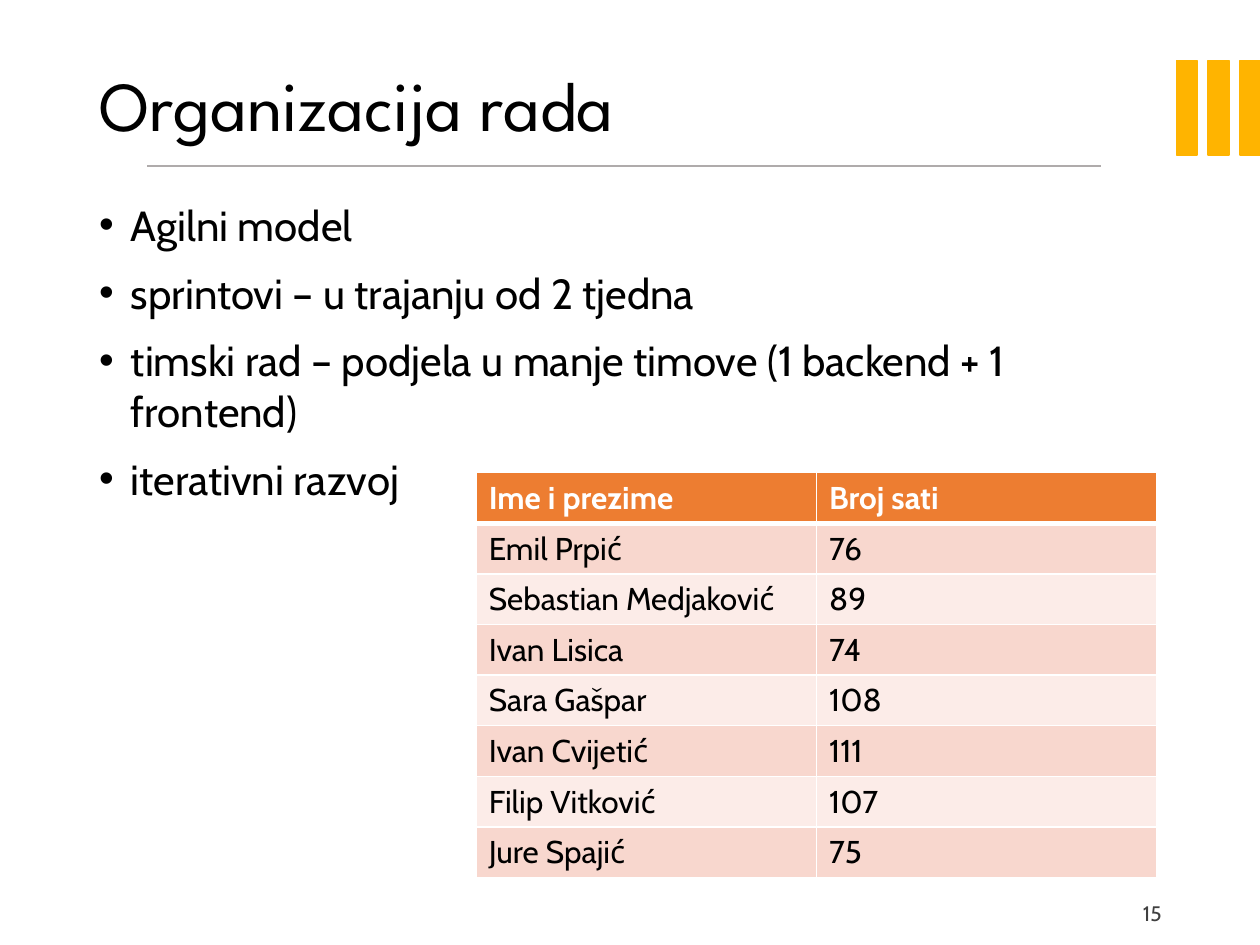
from lxml import etree
from pptx import Presentation
from pptx.dml.color import RGBColor
from pptx.enum.shapes import MSO_CONNECTOR as Conn, MSO_SHAPE as Shape
from pptx.enum.text import MSO_ANCHOR as Anchor, PP_ALIGN as Align
from pptx.oxml.ns import qn
from pptx.util import Cm, Pt

COLORS = {
    "text": "000000", "number": "404040", "accent": "FFB400", "rule": "AFABAB",
    "header": "ED7D31", "odd": "F8D7CE", "even": "FCECE8", "white": "FFFFFF",
}
BULLETS = [
    "Agilni model",
    "sprintovi – u trajanju od 2 tjedna",
    "timski rad – podjela u manje timove (1 backend + 1 frontend)",
    "iterativni razvoj",
]
HOURS = [
    ("Ime i prezime", "Broj sati"),
    ("Emil Prpić", "76"),
    ("Sebastian Medjaković", "89"),
    ("Ivan Lisica", "74"),
    ("Sara Gašpar", "108"),
    ("Ivan Cvijetić", "111"),
    ("Filip Vitković", "107"),
    ("Jure Spajić", "75"),
]


class SlideBuilder:
    """Holds the slide and its style; lengths are given in centimetres."""
    title_font = "League Spartan"
    body_font = "Cabin"

    def __init__(self, slide):
        self.slide = slide

    def rgb(self, name):
        return RGBColor.from_string(COLORS[name])

    def style(self, p, size, color="text", font=None, bold=False):
        for r in p.runs:
            r.font.name = font or self.body_font
            r.font.size = Pt(size)
            r.font.bold = bold
            r.font.color.rgb = self.rgb(color)

    def bar(self, x, y, w, h):
        sp = self.slide.shapes.add_shape(Shape.RECTANGLE, Cm(x), Cm(y), Cm(w), Cm(h))
        sp.shadow.inherit = False
        sp.fill.solid()
        sp.fill.fore_color.rgb = self.rgb("accent")
        sp.line.color.rgb = self.rgb("accent")
        sp.line.width = Pt(1)

    def rule(self, x1, x2, y):
        line = self.slide.shapes.add_connector(Conn.STRAIGHT, Cm(x1), Cm(y), Cm(x2), Cm(y))
        line.line.color.rgb = self.rgb("rule")
        line.line.width = Pt(1)
        etree.SubElement(line._element.spPr, qn("a:effectLst"))

    def text(self, x, y, w, h, lines, size, anchor=Anchor.TOP, align=Align.LEFT, **look):
        box = self.slide.shapes.add_textbox(Cm(x), Cm(y), Cm(w), Cm(h))
        tf = box.text_frame
        tf.word_wrap = True
        tf.vertical_anchor = anchor
        tf.text = "\n".join(lines)
        for p in tf.paragraphs:
            p.alignment = align
            self.style(p, size, **look)
        return tf

    def bullets(self, x, y, w, h, lines, size):
        for p in self.text(x, y, w, h, lines, size).paragraphs:
            p.space_before = Pt(10)
            pPr = p._p.get_or_add_pPr()
            pPr.set("marL", str(Cm(0.64)))
            pPr.set("indent", str(-Cm(0.64)))
            etree.SubElement(pPr, qn("a:buFont"), typeface="Arial")
            etree.SubElement(pPr, qn("a:buChar"), char="•")

    def border(self, cell, side, width):
        ln = etree.SubElement(cell._tc.get_or_add_tcPr(), qn(f"a:ln{side}"), w=str(Pt(width)))
        fill = etree.SubElement(ln, qn("a:solidFill"))
        etree.SubElement(fill, qn("a:srgbClr"), val=COLORS["white"])

    def table(self, x, y, w, row_h, rows, size):
        """Draw a banded table whose first row is the header."""
        frame = self.slide.shapes.add_table(
            len(rows), len(rows[0]), Cm(x), Cm(y), Cm(w), Cm(row_h * len(rows)))
        table = frame.table
        for i, values in enumerate(rows):
            head = i == 0
            band = "header" if head else "odd" if i % 2 else "even"
            for j, value in enumerate(values):
                cell = table.cell(i, j)
                cell.text = value
                self.style(cell.text_frame.paragraphs[0], size,
                           "white" if head else "text", bold=head)
                for side in "LRTB":
                    thick = (head and side == "B") or (i == 1 and side == "T")
                    self.border(cell, side, 3 if thick else 1)
                cell.fill.solid()
                cell.fill.fore_color.rgb = self.rgb(band)


def main():
    prs = Presentation()
    prs.slide_width, prs.slide_height = Cm(25.4), Cm(19.05)
    s = SlideBuilder(prs.slides.add_slide(prs.slide_layouts[6]))

    for i in range(3):
        s.bar(23.72 + i * 0.64, 1.22, 0.41, 1.9)
    s.rule(2.97, 22.2, 3.35)
    title = s.text(1.75, 1.02, 21.9, 2.34, ["Organizacija rada"], 40,
                   anchor=Anchor.MIDDLE, font=s.title_font)
    title.paragraphs[0].line_spacing = 0.9
    s.bullets(1.75, 3.89, 21.9, 13.69, BULLETS, 24)
    s.text(22.2, 18.03, 1.47, 1.02, ["15"], 12, align=Align.RIGHT, color="number")
    s.table(9.6, 9.53, 13.72, 1.02, HOURS, 18)
    prs.save("out.pptx")


if __name__ == "__main__":
    main()
